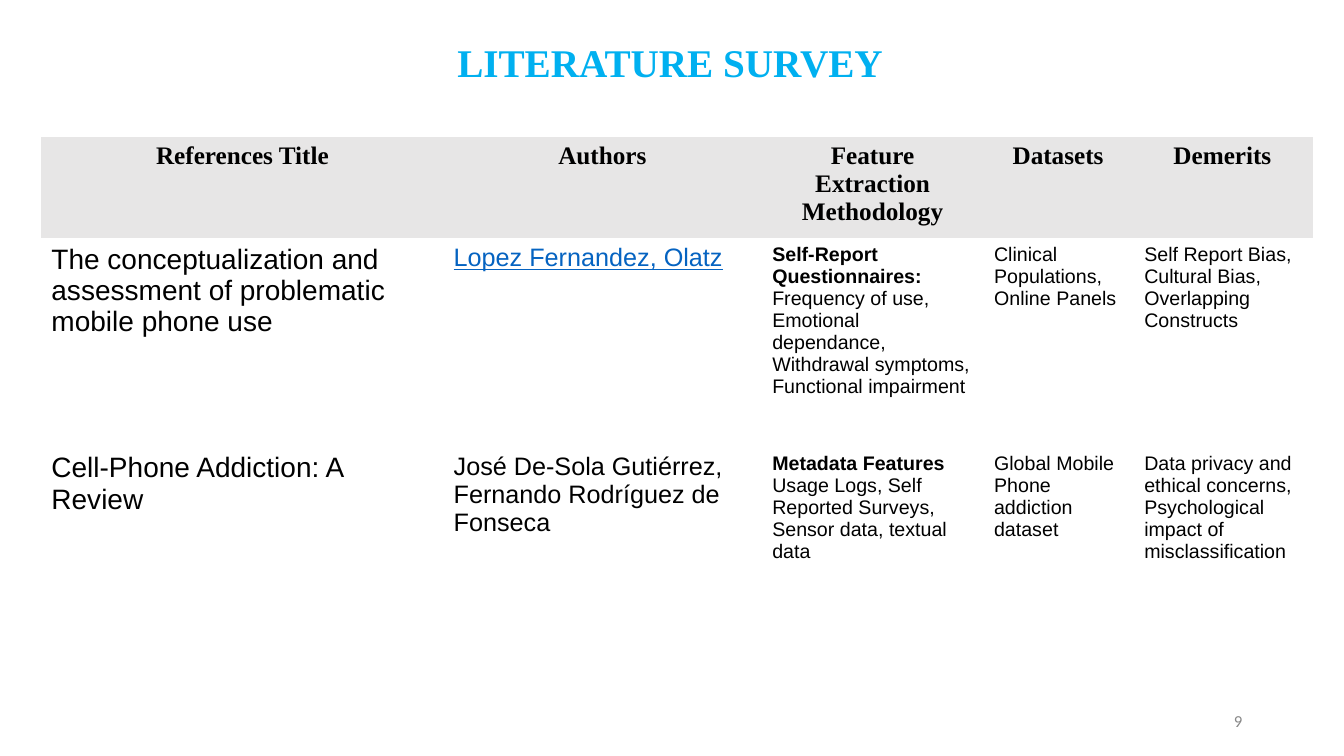
import pptx
import pptx.dml.color
import pptx.enum.text
import pptx.util

Inches = pptx.util.Inches
ALIGN = pptx.enum.text.PP_ALIGN
ANCHOR = pptx.enum.text.MSO_ANCHOR

SERIF, SANS = "Times New Roman", "Arial"
BLACK, LINK_BLUE, HEADER_GREY = "000000", "0563C1", "E7E6E6"
NO_STYLE = "{2D5ABB26-0587-4C30-8999-92F81FD0307C}"

HEADINGS = ["References Title", "Authors", "Feature Extraction Methodology",
            "Datasets", "Demerits"]

# Each cell is a list of paragraphs, each paragraph a list of (text, bold) runs
STUDIES = [
    [
        [[("The conceptualization and assessment of problematic mobile phone use", False)]],
        [[("Lopez Fernandez, Olatz", False)]],
        [[("Self-Report Questionnaires:", True)],
         [("Frequency of use, Emotional dependance, Withdrawal symptoms, "
           "Functional impairment", False)]],
        [[("Clinical Populations, Online Panels", False)]],
        [[("Self Report Bias, Cultural Bias, Overlapping Constructs", False)]],
    ],
    [
        [[("Cell-Phone Addiction: A Review", False)]],
        [[("José De-Sola Gutiérrez,", False)],
         [("Fernando Rodríguez de Fonseca", False)]],
        [[("Metadata Features ", True),
          ("Usage Logs, Self Reported Surveys, Sensor data, textual data", False)]],
        [[("Global Mobile Phone addiction dataset", False)]],
        [[("Data privacy and ethical concerns, Psychological impact of "
           "misclassification", False)]],
    ],
]
STUDY_SIZES = [20, 18, 14, 14, 14]


def rgb(hex_colour):
    return pptx.dml.color.RGBColor.from_string(hex_colour)


def write(frame, paragraphs, size, font, colour, align=ALIGN.LEFT, underline=False):
    """Fill a text frame, run by run."""
    frame.word_wrap = True
    for index, runs in enumerate(paragraphs):
        paragraph = frame.add_paragraph() if index else frame.paragraphs[0]
        paragraph.alignment = align
        for text, bold in runs:
            run = paragraph.add_run()
            run.text = text
            run.font.size = pptx.util.Pt(size)
            run.font.name = font
            run.font.bold = bold
            run.font.underline = underline
            run.font.color.rgb = rgb(colour)


def add_label(slide, box, text, size, font, colour, align, bold=False, anchor=ANCHOR.TOP):
    """One line of text in its own box."""
    frame = slide.shapes.add_textbox(*map(Inches, box)).text_frame
    frame.vertical_anchor = anchor
    write(frame, [[(text, bold)]], size, font, colour, align)


def add_plain_table(slide, left, top, widths, heights):
    """An unstyled table with the given column widths and row heights."""
    table = slide.shapes.add_table(
        len(heights), len(widths), Inches(left), Inches(top),
        Inches(sum(widths)), Inches(sum(heights))).table
    table.first_row = table.horz_banding = False
    table._tbl.tblPr[0].text = NO_STYLE
    for column, width in zip(table.columns, widths):
        column.width = Inches(width)
    for row, height in zip(table.rows, heights):
        row.height = Inches(height)
    return table


def add_headings(slide, left, top):
    """The grey band of column headings."""
    table = add_plain_table(slide, left, top, [3.99, 3.15, 2.21, 1.47, 1.79], [0.93])
    for column, heading in enumerate(HEADINGS):
        cell = table.cell(0, column)
        cell.fill.solid()
        cell.fill.fore_color.rgb = rgb(HEADER_GREY)
        write(cell.text_frame, [[(heading, True)]], 18, SERIF, BLACK, ALIGN.CENTER)


def add_studies(slide, left, top):
    """The surveyed papers, one a row."""
    table = add_plain_table(slide, left, top, [3.99, 3.16, 2.2, 1.49, 1.76], [2.07, 1.88])
    for row, study in enumerate(STUDIES):
        for column, paragraphs in enumerate(study):
            cell = table.cell(row, column)
            cell.fill.background()
            linked = (row, column) == (0, 1)
            write(cell.text_frame, paragraphs, STUDY_SIZES[column], SANS,
                  LINK_BLUE if linked else BLACK, underline=linked)


def main():
    deck = pptx.Presentation()
    deck.slide_width, deck.slide_height = Inches(13.33), Inches(7.5)
    slide = deck.slides.add_slide(deck.slide_layouts[6])

    # Page number and title
    add_label(slide, (9.42, 6.95, 3, 0.4), "9", 12, "Calibri", "888888",
              ALIGN.RIGHT, anchor=ANCHOR.MIDDLE)
    add_label(slide, (2.35, 0.33, 8.59, 0.57), "LITERATURE SURVEY", 28, SERIF,
              "00B0F0", ALIGN.CENTER, bold=True)

    # Survey: headings above the studies
    add_headings(slide, 0.41, 1.36)
    add_studies(slide, 0.41, 2.37)

    deck.save("out.pptx")


if __name__ == "__main__":
    main()
